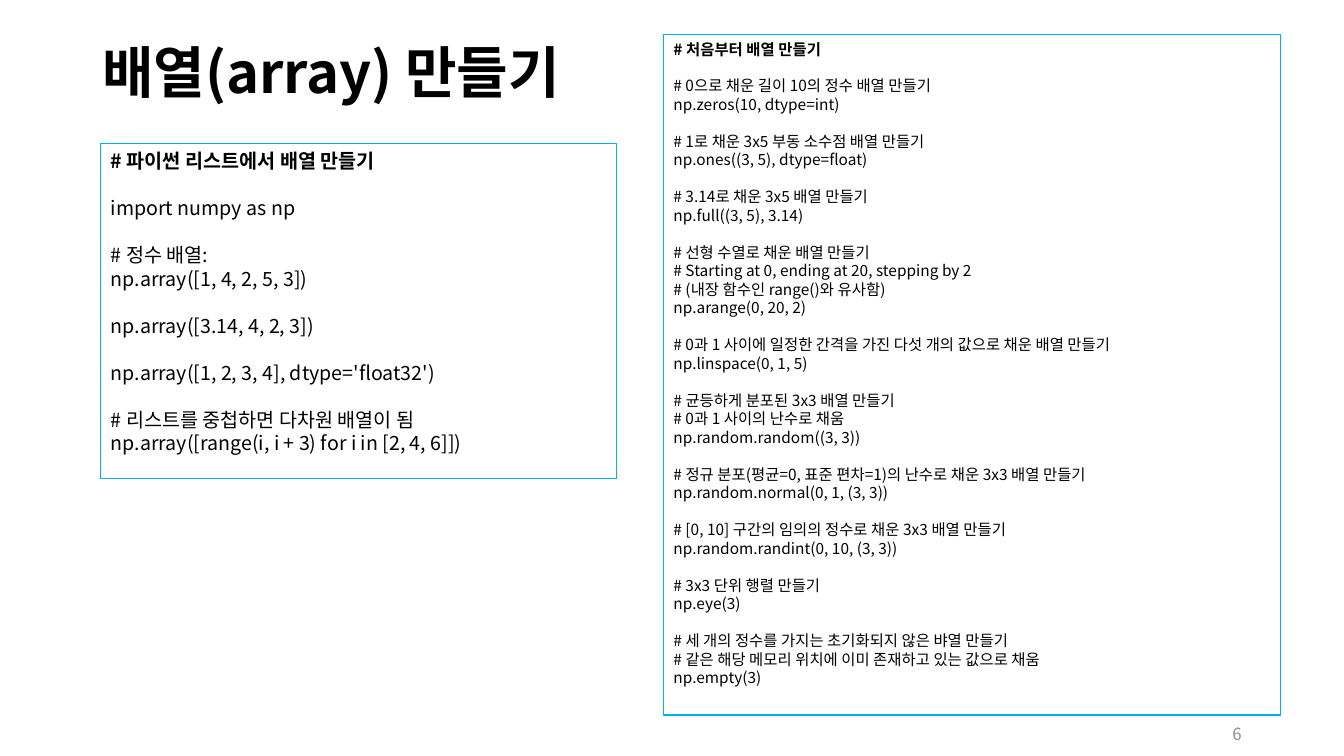
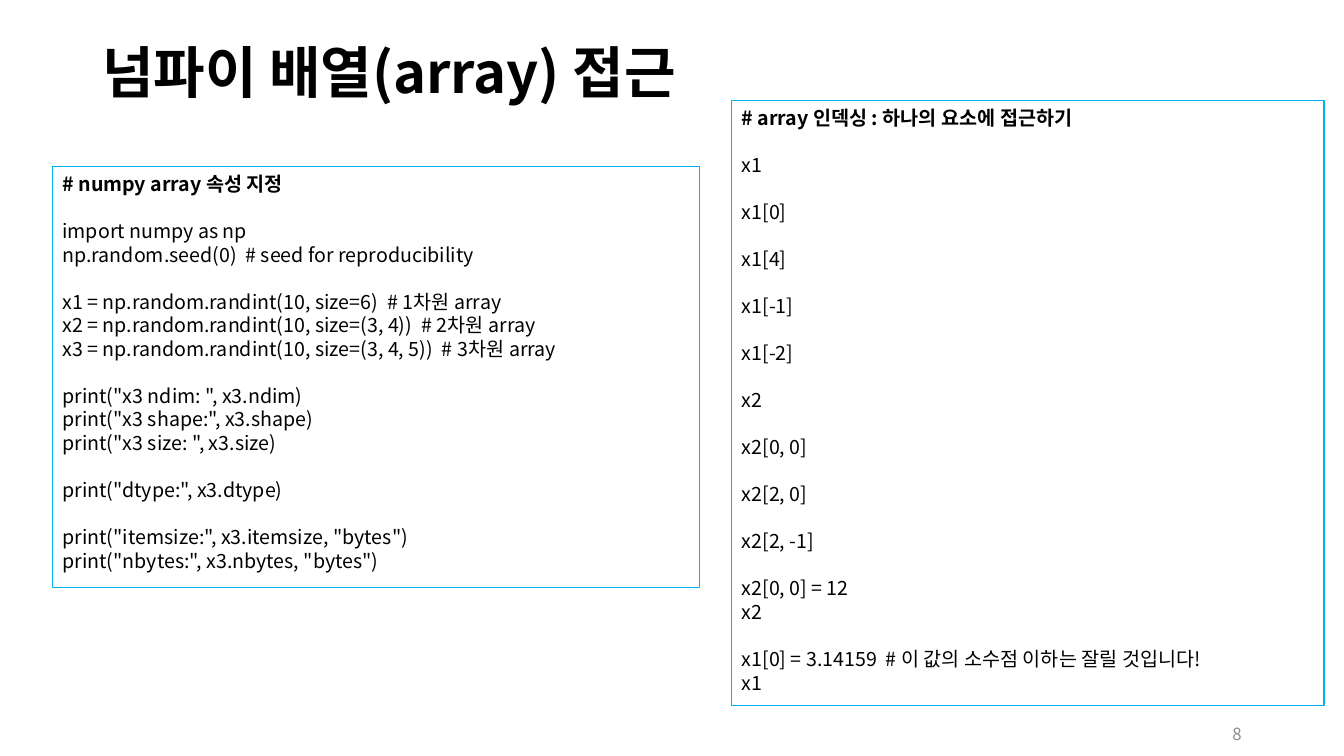
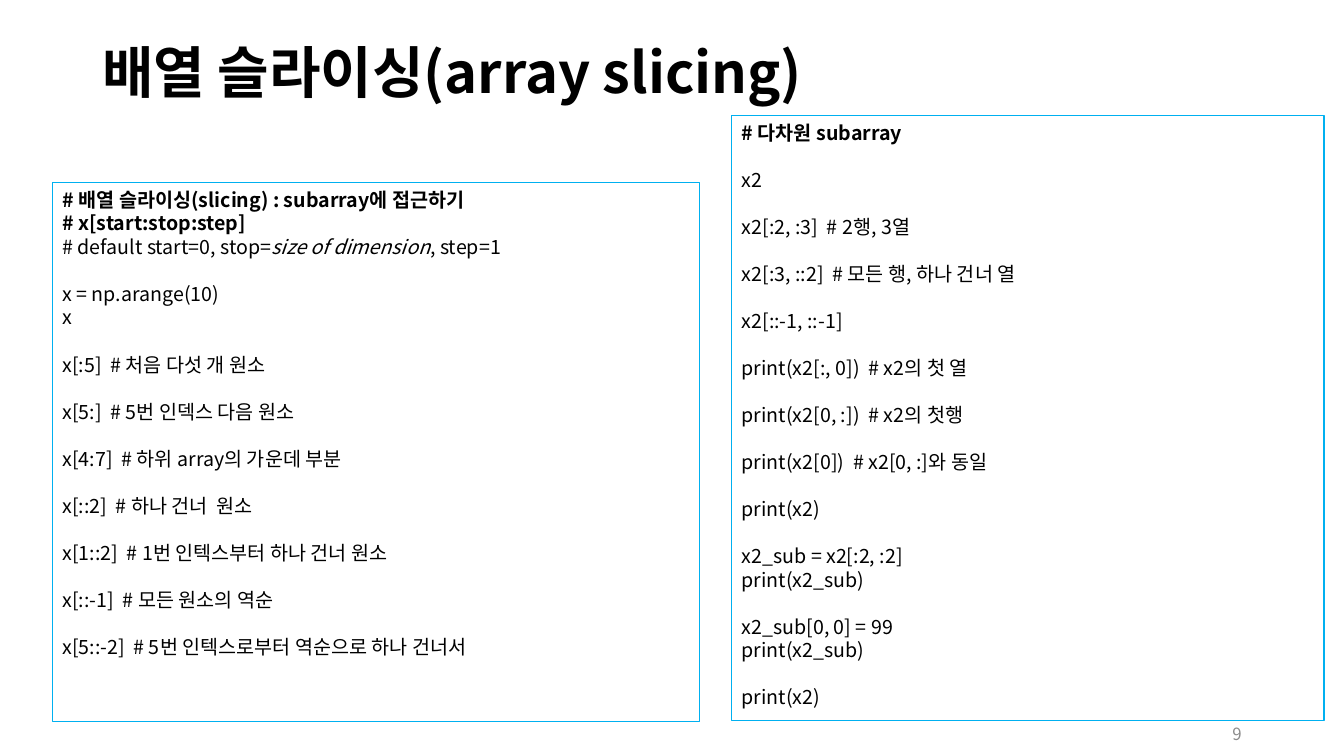
from dataclasses import dataclass
from typing import NamedTuple

from lxml.etree import SubElement
from pptx import Presentation
from pptx.dml.color import RGBColor
from pptx.enum.shapes import MSO_SHAPE
from pptx.enum.text import MSO_ANCHOR as Anchor, PP_ALIGN as Align
from pptx.oxml.ns import qn
from pptx.util import Emu, Pt

EMU_PER_PX = 9525
BLANK_LAYOUT = 6


@dataclass(frozen=True)
class Theme:
    """Colours and type sizes shared by all slides."""
    font: str = "Noto Sans CJK KR"
    ink: RGBColor = RGBColor(0x00, 0x00, 0x00)
    border: RGBColor = RGBColor(0x00, 0xB0, 0xF0)
    muted: RGBColor = RGBColor(0x8C, 0x8C, 0x8C)
    title_size: int = 40
    code_size: int = 14
    small_code_size: int = 11
    number_size: int = 12
    border_width: float = 0.75
    leading: float = 1.2


class Box(NamedTuple):
    """A rectangle in px."""
    left: int
    top: int
    width: int
    height: int

    def emu(self):
        """Return the four lengths in EMU."""
        return [Emu(length * EMU_PER_PX) for length in self]


class Panel(NamedTuple):
    """A framed code listing, with its leading bold lines counted."""
    box: Box
    code: str
    size: int
    heading_lines: int = 1


THEME = Theme()
SLIDE_BOX = Box(0, 0, 1280, 720)
TITLE_BOX = Box(88, 12, 1104, 112)
NUMBER_BOX = Box(904, 680, 288, 38)

CREATE_FROM_SCRATCH = """\
# 처음부터 배열 만들기

# 0으로 채운 길이 10의 정수 배열 만들기
np.zeros(10, dtype=int)

# 1로 채운 3x5 부동 소수점 배열 만들기
np.ones((3, 5), dtype=float)

# 3.14로 채운 3x5 배열 만들기
np.full((3, 5), 3.14)

# 선형 수열로 채운 배열 만들기
# Starting at 0, ending at 20, stepping by 2
# (내장 함수인 range()와 유사함)
np.arange(0, 20, 2)

# 0과 1 사이에 일정한 간격을 가진 다섯 개의 값으로 채운 배열 만들기
np.linspace(0, 1, 5)

# 균등하게 분포된 3x3 배열 만들기
# 0과 1 사이의 난수로 채움
np.random.random((3, 3))

# 정규 분포(평균=0, 표준 편차=1)의 난수로 채운 3x3 배열 만들기
np.random.normal(0, 1, (3, 3))

# [0, 10] 구간의 임의의 정수로 채운 3x3 배열 만들기
np.random.randint(0, 10, (3, 3))

# 3x3 단위 행렬 만들기
np.eye(3)

# 세 개의 정수를 가지는 초기화되지 않은 뱌열 만들기
# 같은 해당 메모리 위치에 이미 존재하고 있는 값으로 채움
np.empty(3)"""

CREATE_FROM_LIST = """\
# 파이썬 리스트에서 배열 만들기

import numpy as np

# 정수 배열:
np.array([1, 4, 2, 5, 3])

np.array([3.14, 4, 2, 3])

np.array([1, 2, 3, 4], dtype='float32')

# 리스트를 중첩하면 다차원 배열이 됨
np.array([range(i, i + 3) for i in [2, 4, 6]])"""

INDEXING = """\
# array 인덱싱 : 하나의 요소에 접근하기

x1

x1[0]

x1[4]

x1[-1]

x1[-2]

x2

x2[0, 0]

x2[2, 0]

x2[2, -1]

x2[0, 0] = 12
x2

x1[0] = 3.14159  # 이 값의 소수점 이하는 잘릴 것입니다!
x1"""

ATTRIBUTES = """\
# numpy array 속성 지정

import numpy as np
np.random.seed(0)  # seed for reproducibility

x1 = np.random.randint(10, size=6)  # 1차원 array
x2 = np.random.randint(10, size=(3, 4))  # 2차원 array
x3 = np.random.randint(10, size=(3, 4, 5))  # 3차원 array

print("x3 ndim: ", x3.ndim)
print("x3 shape:", x3.shape)
print("x3 size: ", x3.size)

print("dtype:", x3.dtype)

print("itemsize:", x3.itemsize, "bytes")
print("nbytes:", x3.nbytes, "bytes")"""

SUBARRAYS = """\
# 다차원 subarray

x2

x2[:2, :3]  # 2행, 3열

x2[:3, ::2]  # 모든 행, 하나 건너 열

x2[::-1, ::-1]

print(x2[:, 0])  # x2의 첫 열

print(x2[0, :])  # x2의 첫행

print(x2[0])  # x2[0, :]와 동일

print(x2)

x2_sub = x2[:2, :2]
print(x2_sub)

x2_sub[0, 0] = 99
print(x2_sub)

print(x2)"""

SLICING = """\
# 배열 슬라이싱(slicing) : subarray에 접근하기
# x[start:stop:step]
# default start=0, stop=*size of dimension*, step=1

x = np.arange(10)
x

x[:5]  # 처음 다섯 개 원소

x[5:]  # 5번 인덱스 다음 원소

x[4:7]  # 하위 array의 가운데 부분

x[::2]  # 하나 건너  원소

x[1::2]  # 1번 인텍스부터 하나 건너 원소

x[::-1]  # 모든 원소의 역순

x[5::-2]  # 5번 인텍스로부터 역순으로 하나 건너서"""

SLIDES = [
    ("배열(array) 만들기", "6",
     Panel(Box(632, 33, 588, 648), CREATE_FROM_SCRATCH, THEME.small_code_size),
     Panel(Box(96, 137, 491, 319), CREATE_FROM_LIST, THEME.code_size)),
    ("넘파이 배열(array) 접근", "8",
     Panel(Box(697, 96, 564, 576), INDEXING, THEME.code_size),
     Panel(Box(50, 159, 616, 401), ATTRIBUTES, THEME.code_size)),
    ("배열 슬라이싱(array slicing)", "9",
     Panel(Box(697, 110, 564, 576), SUBARRAYS, THEME.code_size),
     Panel(Box(50, 174, 616, 513), SLICING, THEME.code_size, 2)),
]


def style_paragraph(paragraph, size, color, bold=False):
    """Set the shared font, for Latin and Korean, on a paragraph."""
    font = paragraph.font
    font.name = THEME.font
    font.size = Pt(size)
    font.bold = bold
    font.color.rgb = color
    defaults = paragraph._p.pPr.find(qn("a:defRPr"))
    SubElement(defaults, qn("a:ea"), typeface=THEME.font)


def add_runs(paragraph, line):
    """Add a line of text, with the parts between asterisks in italics."""
    for index, part in enumerate(line.split("*")):
        run = paragraph.add_run()
        run.text = part
        if index % 2:
            run.font.italic = True


def add_label(slide, box, text, size, color, bold=False, align=Align.LEFT):
    """Place one line of text, centred vertically in its box."""
    frame = slide.shapes.add_textbox(*box.emu()).text_frame
    frame.word_wrap = True
    frame.vertical_anchor = Anchor.MIDDLE
    paragraph = frame.paragraphs[0]
    paragraph.text = text
    paragraph.alignment = align
    style_paragraph(paragraph, size, color, bold)


def add_code_panel(slide, panel):
    """Place a framed listing whose blank lines become paragraph spacing."""
    shape = slide.shapes.add_shape(MSO_SHAPE.RECTANGLE, *panel.box.emu())
    shape.shadow.inherit = False
    shape.fill.background()
    shape.line.color.rgb = THEME.border
    shape.line.width = Pt(THEME.border_width)
    frame = shape.text_frame
    frame.word_wrap = True
    frame.vertical_anchor = Anchor.TOP
    pitch = Pt(panel.size * THEME.leading)
    line_count = 0
    for block in panel.code.split("\n\n"):
        for position, line in enumerate(block.split("\n")):
            paragraph = frame.add_paragraph() if line_count else frame.paragraphs[0]
            add_runs(paragraph, line)
            paragraph.alignment = Align.LEFT
            paragraph.line_spacing = pitch
            if line_count and position == 0:
                paragraph.space_before = pitch
            style_paragraph(paragraph, panel.size, THEME.ink,
                            line_count < panel.heading_lines)
            line_count += 1


def add_code_slide(presentation, title, number, right_panel, left_panel):
    """Add a slide with a title, two listings and a page number."""
    slide = presentation.slides.add_slide(presentation.slide_layouts[BLANK_LAYOUT])
    add_label(slide, TITLE_BOX, title, THEME.title_size, THEME.ink, bold=True)
    add_code_panel(slide, right_panel)
    add_label(slide, NUMBER_BOX, number, THEME.number_size, THEME.muted,
              align=Align.RIGHT)
    add_code_panel(slide, left_panel)


def main():
    """Build and save the presentation."""
    presentation = Presentation()
    _, _, presentation.slide_width, presentation.slide_height = SLIDE_BOX.emu()
    for content in SLIDES:
        add_code_slide(presentation, *content)
    presentation.save("out.pptx")


if __name__ == "__main__":
    main()
